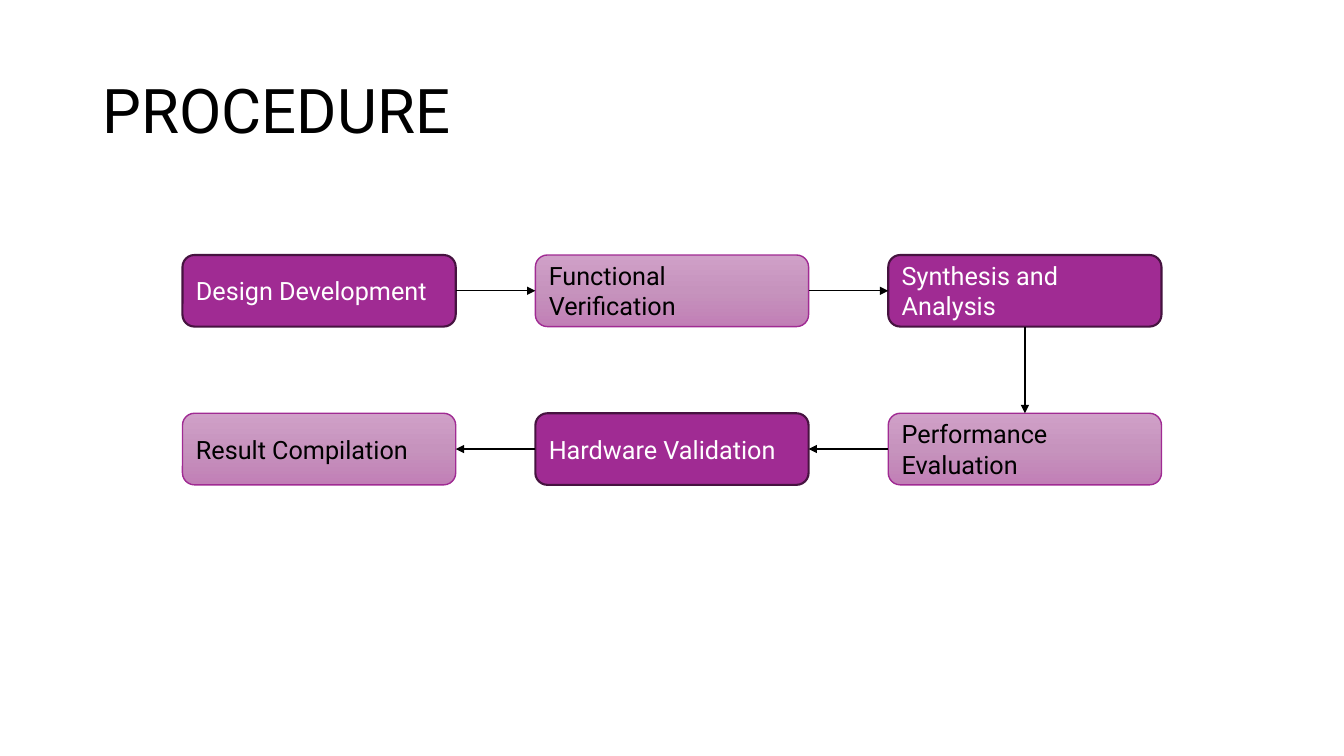
from lxml.etree import SubElement
from pptx import Presentation
from pptx.dml.color import RGBColor
from pptx.enum.shapes import MSO_CONNECTOR as Connector, MSO_SHAPE as Shape
from pptx.enum.text import MSO_ANCHOR as Anchor, PP_ALIGN as Align
from pptx.oxml.ns import qn
from pptx.util import Inches, Pt

COLORS = {
    "text": "000000",
    "white": "FFFFFF",
    "purple": "A02B93",
    "dark": "461340",
}
GRADIENT = {0: "D0A0C8", 50: "C693BD", 100: "C17FB6"}
STEPS = [
    "Design Development",
    "Functional Verification",
    "Synthesis and Analysis",
    "Performance Evaluation",
    "Hardware Validation",
    "Result Compilation",
]
COLUMNS = 3
STEP_WIDTH, STEP_HEIGHT = 2.71, 0.71
TOP, LEFT, BOTTOM, RIGHT = range(4)  # connection sites of a rounded rectangle


def color(name):
    return RGBColor.from_string(COLORS[name])


def write(box, text, size=18, ink="text", spacing=1.0):
    frame = box.text_frame
    frame.word_wrap = True
    frame.vertical_anchor = Anchor.MIDDLE
    para = frame.paragraphs[0]
    para.alignment = Align.LEFT
    para.line_spacing = spacing
    span = para.add_run()
    span.text = text
    span.font.name = "Roboto"
    span.font.size = Pt(size)
    span.font.color.rgb = color(ink)


def fill_gradient(shape):
    """Fill the shape from top to bottom with the stops of GRADIENT."""
    shape.fill.gradient()
    shape.fill.gradient_angle = 270
    stops = shape.element.spPr.find(".//" + qn("a:gsLst"))
    for stop in list(stops):
        stops.remove(stop)
    for percent, value in GRADIENT.items():
        stop = SubElement(stops, qn("a:gs"), pos=str(percent * 1000))
        SubElement(stop, qn("a:srgbClr"), val=value)


def add_title(page, left, top, width, height):
    box = page.shapes.add_textbox(
        Inches(left), Inches(top), Inches(width), Inches(height))
    write(box, "PROCEDURE", size=44, spacing=0.9)


def add_step(page, left, top, text, strong):
    step = page.shapes.add_shape(
        Shape.ROUNDED_RECTANGLE, Inches(left), Inches(top),
        Inches(STEP_WIDTH), Inches(STEP_HEIGHT))
    step.shadow.inherit = False
    if strong:
        step.fill.solid()
        step.fill.fore_color.rgb = color("purple")
    else:
        fill_gradient(step)
    step.line.color.rgb = color("dark" if strong else "purple")
    step.line.width = Pt(1.5 if strong else 1)
    write(step, text, ink="white" if strong else "text")
    return step


def add_arrow(page, start, start_site, end, end_site):
    arrow = page.shapes.add_connector(Connector.STRAIGHT, 0, 0, 0, 0)
    arrow.begin_connect(start, start_site)
    arrow.end_connect(end, end_site)
    arrow.line.color.rgb = color("text")
    arrow.line.width = Pt(1)
    SubElement(arrow.line._get_or_add_ln(), qn("a:tailEnd"), type="triangle")
    SubElement(arrow.element.spPr, qn("a:effectLst"))


def add_flow(page, left, top, width, height):
    """Lay the steps out rightwards, then back leftwards on the next row."""
    column_pitch = (width - STEP_WIDTH) / (COLUMNS - 1)
    row_pitch = height - STEP_HEIGHT
    steps = []
    for index, text in enumerate(STEPS):
        row, column = divmod(index, COLUMNS)
        if row % 2:
            column = COLUMNS - 1 - column
        steps.append(add_step(
            page, left + column * column_pitch, top + row * row_pitch,
            text, strong=index % 2 == 0))

    for index, (start, end) in enumerate(zip(steps, steps[1:])):
        if start.left == end.left:
            sites = BOTTOM, TOP
        elif start.left < end.left:
            sites = RIGHT, LEFT
        else:
            sites = LEFT, RIGHT
        add_arrow(page, start, sites[0], end, sites[1])


def main():
    deck = Presentation()
    deck.slide_width, deck.slide_height = Inches(13.33), Inches(7.5)
    page = deck.slides.add_slide(deck.slide_layouts[6])
    add_title(page, 0.92, 0.4, 11.5, 1.45)
    add_flow(page, 1.81, 2.53, 9.71, 2.28)
    deck.save("out.pptx")


if __name__ == "__main__":
    main()
